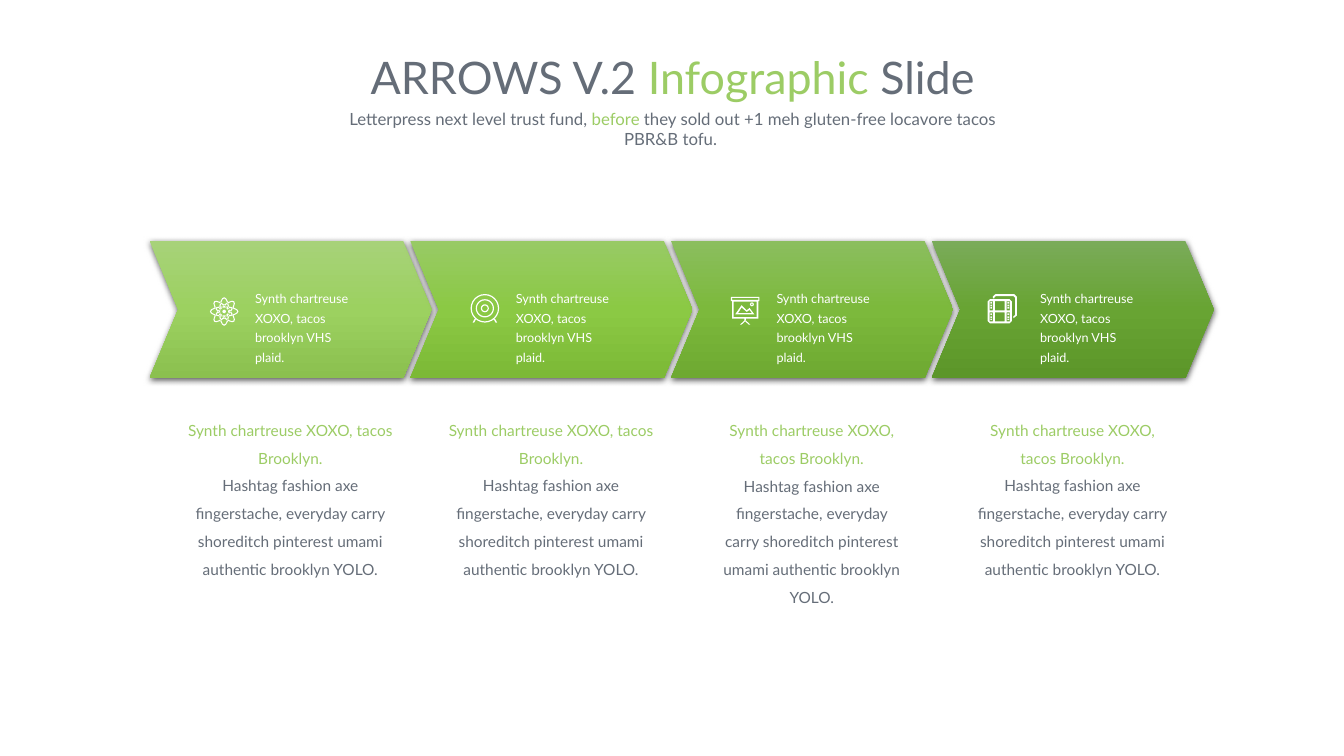
import copy
import math

import pptx
import pptx.dml.color
import pptx.enum.text
import pptx.oxml
import pptx.oxml.ns
import pptx.util

Cm = pptx.util.Cm
Pt = pptx.util.Pt
RGBColor = pptx.dml.color.RGBColor
ALIGN = pptx.enum.text.PP_ALIGN
qn = pptx.oxml.ns.qn

GREY = RGBColor(0x65, 0x6D, 0x78)
GREEN = RGBColor(0x9C, 0xCC, 0x65)
WHITE = RGBColor(0xFF, 0xFF, 0xFF)
GRADIENTS = [
    [RGBColor(0xA7, 0xD2, 0x79), RGBColor(0x9C, 0xD1, 0x60), RGBColor(0x8B, 0xC0, 0x4F)],
    [RGBColor(0x98, 0xCA, 0x65), RGBColor(0x8B, 0xC9, 0x44), RGBColor(0x7C, 0xB9, 0x36)],
    [RGBColor(0x8B, 0xBE, 0x5E), RGBColor(0x7C, 0xB9, 0x3C), RGBColor(0x6E, 0xA9, 0x31)],
    [RGBColor(0x7A, 0xAB, 0x59), RGBColor(0x68, 0xA4, 0x33), RGBColor(0x5C, 0x96, 0x29)],
]
PITCH = 6.57
ARROW_LEFT, ARROW_TOP, ARROW_HEIGHT = 3.77, 6.07, 3.46
ARROW_WIDTH, ARROW_POINT = 7.11, 0.72
DETAIL_CENTRE = 7.32
DETAIL_BOXES = [(10.25, 5.89), (10.25, 5.89), (10.26, 5.21), (10.25, 5.54)]
CAPTION_LEFTS = [6.18, 12.75, 19.32, 25.96]
ICON_CENTRES = [(5.65, 7.85), (12.22, 7.77), (18.78, 7.82), (25.26, 7.78)]

HEADING = "Synth chartreuse XOXO, tacos Brooklyn."
DETAIL = ("Hashtag fashion axe fingerstache, everyday carry shoreditch "
          "pinterest umami authentic brooklyn YOLO.")
CAPTION = "Synth chartreuse XOXO, tacos brooklyn VHS plaid."


def add_text(shapes, left, top, width, height, paragraphs, size,
             alignment=ALIGN.CENTER, line_spacing=None):
    box = shapes.add_textbox(Cm(left), Cm(top), Cm(width), Cm(height))
    text_frame = box.text_frame
    text_frame.word_wrap = True
    text_frame.text = "\n".join("" for _ in paragraphs)
    for paragraph, runs in zip(text_frame.paragraphs, paragraphs):
        paragraph.alignment = alignment
        paragraph.line_spacing = line_spacing
        for text, colour in runs:
            run = paragraph.add_run()
            run.text = text
            run.font.name = "Lato"
            run.font.size = Pt(size)
            run.font.color.rgb = colour


def add_outline(shapes, origin, contours):
    builder = None
    for contour in contours:
        points = [(Cm(origin[0] + x), Cm(origin[1] + y)) for x, y in contour]
        if builder is None:
            builder = shapes.build_freeform(*points[0], scale=1.0)
        else:
            builder.move_to(*points[0])
        builder.add_line_segments(points[1:], close=True)
    shape = builder.convert_to_shape()
    shape.shadow.inherit = False
    shape.line.fill.background()
    return shape


def add_arrow(shapes, left, colours):
    shoulder = ARROW_WIDTH - ARROW_POINT
    middle = ARROW_HEIGHT / 2
    arrow = add_outline(shapes, (left, ARROW_TOP), [[
        (ARROW_POINT, middle), (0, 0), (shoulder, 0), (ARROW_WIDTH, middle),
        (shoulder, ARROW_HEIGHT), (0, ARROW_HEIGHT)]])
    arrow.fill.gradient()
    arrow.fill.gradient_angle = 270
    properties = arrow._element.spPr
    stop_list = properties.find(".//" + qn("a:gsLst"))
    stop_list.insert(1, copy.deepcopy(stop_list[0]))
    for stop, colour, position in zip(arrow.fill.gradient_stops, colours, (0, 0.5, 1)):
        stop.color.rgb = colour
        stop.position = position
    properties.find(qn("a:effectLst")).append(pptx.oxml.parse_xml(
        f'<a:outerShdw {pptx.oxml.ns.nsdecls("a")} blurRad="57150" dist="19050" '
        'dir="5400000" algn="ctr" rotWithShape="0">'
        '<a:srgbClr val="000000"><a:alpha val="63000"/></a:srgbClr></a:outerShdw>'))


def ellipse(x, y, width, height, rotation=0, count=16):
    turn = math.radians(rotation)
    points = []
    for step in range(count):
        angle = 2 * math.pi * step / count
        along, across = width / 2 * math.cos(angle), height / 2 * math.sin(angle)
        points.append((x + along * math.cos(turn) - across * math.sin(turn),
                       y + along * math.sin(turn) + across * math.cos(turn)))
    return points


def rectangle(left, top, right, bottom):
    return [(left, top), (right, top), (right, bottom), (left, bottom)]


def leg(x1, y1, x2, y2):
    return [(x1 - 0.02, y1), (x1 + 0.02, y1), (x2 + 0.02, y2), (x2 - 0.02, y2)]


def atom():
    contours = [ellipse(0, 0, 0.09, 0.09, count=8)]
    for rotation in range(0, 180, 45):
        contours += [ellipse(0, 0, 0.72, 0.26, rotation), ellipse(0, 0, 0.66, 0.2, rotation)]
    return contours


def target():
    contours = [ellipse(0, 0, size, size, count=24)
                for size in (0.72, 0.66, 0.46, 0.4, 0.2, 0.14)]
    return contours + [leg(side * 0.24, 0.27, side * 0.29, 0.36) for side in (-1, 1)]


def easel():
    return [
        rectangle(-0.36, -0.34, 0.36, -0.23), rectangle(-0.33, -0.31, 0.33, -0.26),
        rectangle(-0.33, -0.23, 0.33, 0.21), rectangle(-0.29, -0.22, 0.29, 0.17),
        ellipse(0.17, -0.15, 0.1, 0.1, count=8), ellipse(0.17, -0.15, 0.04, 0.04, count=8),
        [(-0.25, 0.1), (-0.09, -0.13), (0.04, 0), (0.11, -0.06), (0.23, 0.1)],
        [(-0.18, 0.07), (-0.09, -0.07), (0.04, 0.04), (0.11, -0.01), (0.17, 0.07)],
        leg(0, 0.21, 0, 0.26), leg(0, 0.26, -0.11, 0.36), leg(0, 0.26, 0.11, 0.36)]


def film():
    contours = [
        [(-0.24, -0.26), (-0.24, -0.31), (-0.17, -0.37), (0.3, -0.37), (0.37, -0.3),
         (0.37, 0.17), (0.28, 0.24), (0.28, 0.19), (0.32, 0.16), (0.32, -0.28),
         (0.28, -0.32), (-0.16, -0.32), (-0.2, -0.28), (-0.2, -0.26)],
        [(-0.37, -0.18), (-0.31, -0.24), (0.18, -0.24), (0.24, -0.18),
         (0.24, 0.31), (0.18, 0.37), (-0.31, 0.37), (-0.37, 0.31)]]
    for left, right in ((-0.32, -0.24), (-0.19, 0.06), (0.11, 0.19)):
        for top in (-0.19, 0.09):
            contours.append(rectangle(left, top, right, top + 0.23))
    for x in (-0.28, 0.15):
        for y in (-0.15, -0.08, -0.02, 0.14, 0.21, 0.27):
            contours.append(rectangle(x - 0.02, y - 0.02, x + 0.02, y + 0.02))
    return contours


def add_icon(shapes, centre, contours):
    icon = add_outline(shapes, centre, contours)
    icon.fill.solid()
    icon.fill.fore_color.rgb = WHITE


def main():
    presentation = pptx.Presentation()
    presentation.slide_width = Cm(33.87)
    presentation.slide_height = Cm(19.05)
    slide = presentation.slides.add_slide(presentation.slide_layouts[6])
    shapes = slide.shapes

    add_text(shapes, 6.46, 1.14, 20.98, 1.63, [
        [("ARROWS V.2 ", GREY), ("Infographic ", GREEN), ("Slide", GREY)]], 32)
    add_text(shapes, 8.13, 2.62, 17.65, 0.76, [
        [("Letterpress next level trust fund, ", GREY), ("before", GREEN),
         (" they sold out +1 meh gluten-free locavore tacos PBR&B tofu. ", GREY)]], 12)

    for index, colours in enumerate(GRADIENTS):
        add_arrow(shapes, ARROW_LEFT + index * PITCH, colours)
    for index, (top, width) in enumerate(DETAIL_BOXES):
        add_text(shapes, DETAIL_CENTRE + index * PITCH - width / 2, top, width, 4.42,
                 [[(HEADING, GREEN)], [(DETAIL, GREY)]], 11, line_spacing=1.5)
    icons = [atom(), target(), easel(), film()]
    for contours, centre, left in zip(icons, ICON_CENTRES, CAPTION_LEFTS):
        group = shapes.add_group_shape()
        add_text(group.shapes, left, 7.09, 3.18, 1.75, [[(CAPTION, WHITE)]], 9,
                 ALIGN.LEFT, 1.3)
        add_icon(group.shapes, centre, contours)

    presentation.save("out.pptx")


if __name__ == "__main__":
    main()
